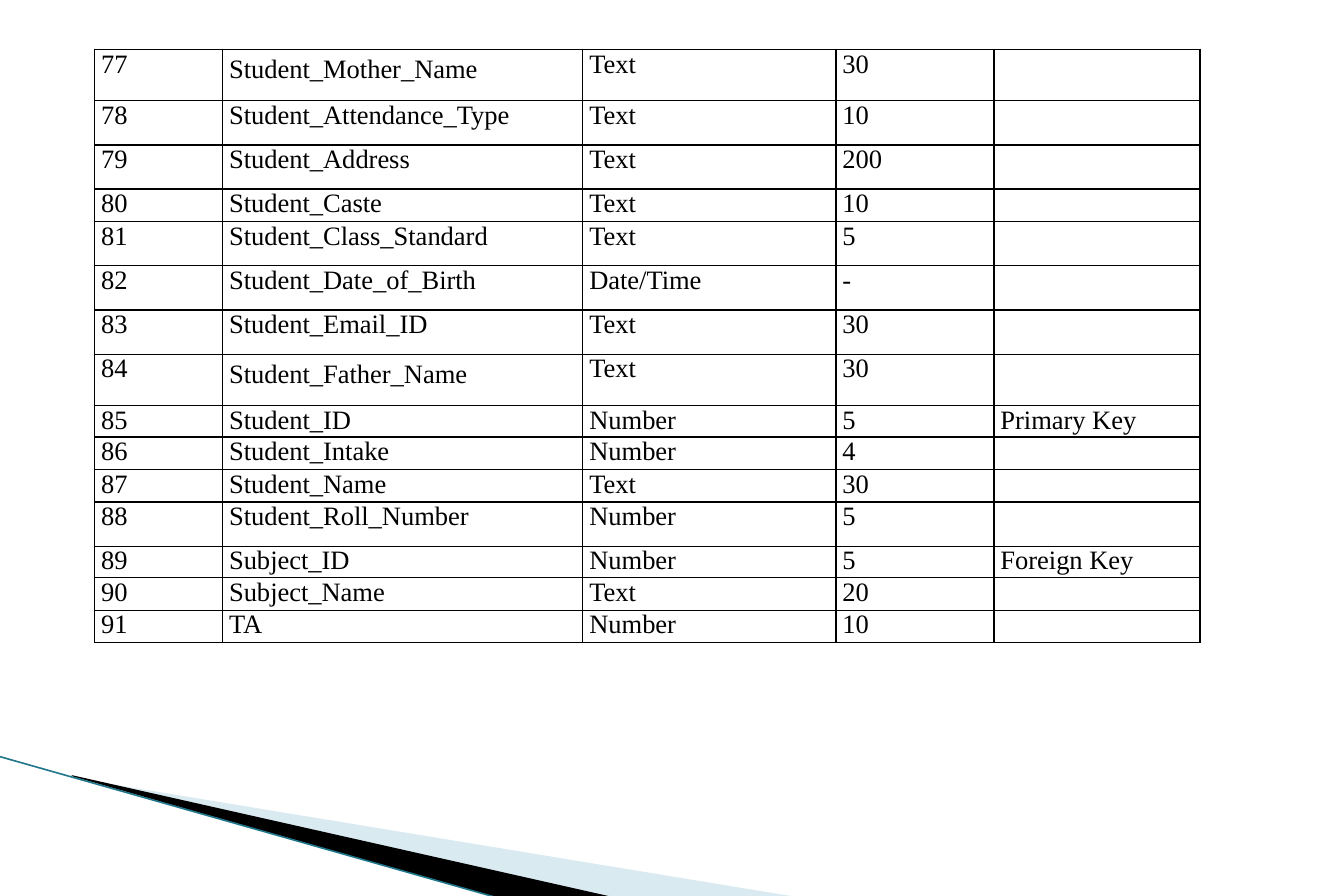
import pptx
import pptx.dml.color
import pptx.enum.shapes
import pptx.oxml.ns
import pptx.util
from dataclasses import dataclass
from lxml import etree

Cm = pptx.util.Cm
qn = pptx.oxml.ns.qn


@dataclass(frozen=True)
class Theme:
    font: str = "Times New Roman"
    text_size: int = 16
    ink: str = "000000"
    pale_blue: str = "A0CBDC"
    pale_alpha: int = 40
    teal: str = "1F768B"
    border_width: float = 1
    stripe_width: float = 0.95


theme = Theme()
color = pptx.dml.color.RGBColor.from_string


def add_border(cell_properties, side):
    border = etree.SubElement(cell_properties, qn(f"a:{side}"),
                              w=str(pptx.util.Pt(theme.border_width)))
    fill = etree.SubElement(border, qn("a:solidFill"))
    etree.SubElement(fill, qn("a:srgbClr"), val=theme.ink)


presentation = pptx.Presentation()
presentation.slide_width = Cm(28.575)
presentation.slide_height = Cm(19.05)
slide = presentation.slides.add_slide(presentation.slide_layouts[6])

# Corner wedges: colour, opacity in percent, outline in centimetres
wedges = [
    (theme.pale_blue, theme.pale_alpha,
     [(1.55, 16.54), (16.99, 19.08), (13.03, 19.08), (1.57, 16.51)]),
    (theme.ink, 100,
     [(1.52, 16.48), (13.06, 19.08), (10.62, 19.1), (1.55, 16.51)]),
]
for wedge_color, opacity, outline in wedges:
    points = [(Cm(x), Cm(y)) for x, y in outline]
    builder = slide.shapes.build_freeform(*points[0])
    builder.add_line_segments(points[1:], close=True)
    wedge = builder.convert_to_shape()
    wedge.shadow.inherit = False
    wedge.fill.solid()
    wedge.fill.fore_color.rgb = color(wedge_color)
    wedge.line.fill.background()
    if opacity < 100:
        fill_color = wedge._element.spPr.find(qn("a:solidFill"))[0]
        etree.SubElement(fill_color, qn("a:alpha"), val=str(opacity * 1000))

# Thin line along the wedges
stripe = slide.shapes.add_connector(
    pptx.enum.shapes.MSO_CONNECTOR.STRAIGHT,
    Cm(-0.03), Cm(16.08), Cm(10.62), Cm(19.1))
stripe.line.color.rgb = color(theme.teal)
stripe.line.width = pptx.util.Pt(theme.stripe_width)
etree.SubElement(stripe._element.spPr, qn("a:effectLst"))

# Field list: name, type, size, key, row height
FIRST_NUMBER = 77
TALL, MEDIUM, SHORT = 1.09, 0.94, 0.67
fields = [
    ("Student_Mother_Name", "Text", "30", "", TALL),
    ("Student_Attendance_Type", "Text", "10", "", MEDIUM),
    ("Student_Address", "Text", "200", "", MEDIUM),
    ("Student_Caste", "Text", "10", "", SHORT),
    ("Student_Class_Standard", "Text", "5", "", MEDIUM),
    ("Student_Date_of_Birth", "Date/Time", "-", "", MEDIUM),
    ("Student_Email_ID", "Text", "30", "", MEDIUM),
    ("Student_Father_Name", "Text", "30", "", TALL),
    ("Student_ID", "Number", "5", "Primary Key", SHORT),
    ("Student_Intake", "Number", "4", "", SHORT),
    ("Student_Name", "Text", "30", "", SHORT),
    ("Student_Roll_Number", "Number", "5", "", MEDIUM),
    ("Subject_ID", "Number", "5", "Foreign Key", SHORT),
    ("Subject_Name", "Text", "20", "", SHORT),
    ("TA", "Number", "10", "", SHORT),
]
column_widths = [2.72, 7.66, 5.38, 3.36, 4.38]
cell_format = {"margin_left": Cm(0.14), "margin_right": Cm(0.14),
               "margin_top": 0, "margin_bottom": 0}
font_format = {"name": theme.font, "size": pptx.util.Pt(theme.text_size)}

# Table
table = slide.shapes.add_table(
    len(fields), len(column_widths), Cm(2.01), Cm(1.05),
    Cm(sum(column_widths)), Cm(sum(field[-1] for field in fields))).table
table.first_row = False
table.horz_banding = False
for column, width in zip(table.columns, column_widths):
    column.width = Cm(width)

for index, (*values, height) in enumerate(fields):
    table.rows[index].height = Cm(height)
    texts = [str(FIRST_NUMBER + index), *values]
    for column_index, text in enumerate(texts):
        cell = table.cell(index, column_index)
        for name, value in cell_format.items():
            setattr(cell, name, value)
        cell_properties = cell._tc.get_or_add_tcPr()
        for side in ("lnL", "lnR", "lnT", "lnB"):
            add_border(cell_properties, side)
        cell.fill.background()

        paragraph = cell.text_frame.paragraphs[0]
        if not text:
            # Keeps an empty cell from stretching its row
            etree.SubElement(paragraph._p, qn("a:endParaRPr"),
                             sz=str(theme.text_size * 100))
            continue
        run = paragraph.add_run()
        run.text = text
        for name, value in font_format.items():
            setattr(run.font, name, value)
        run.font.color.rgb = color(theme.ink)
        if height == TALL and column_index == 1:
            paragraph.line_spacing = 1.2

presentation.save("out.pptx")
